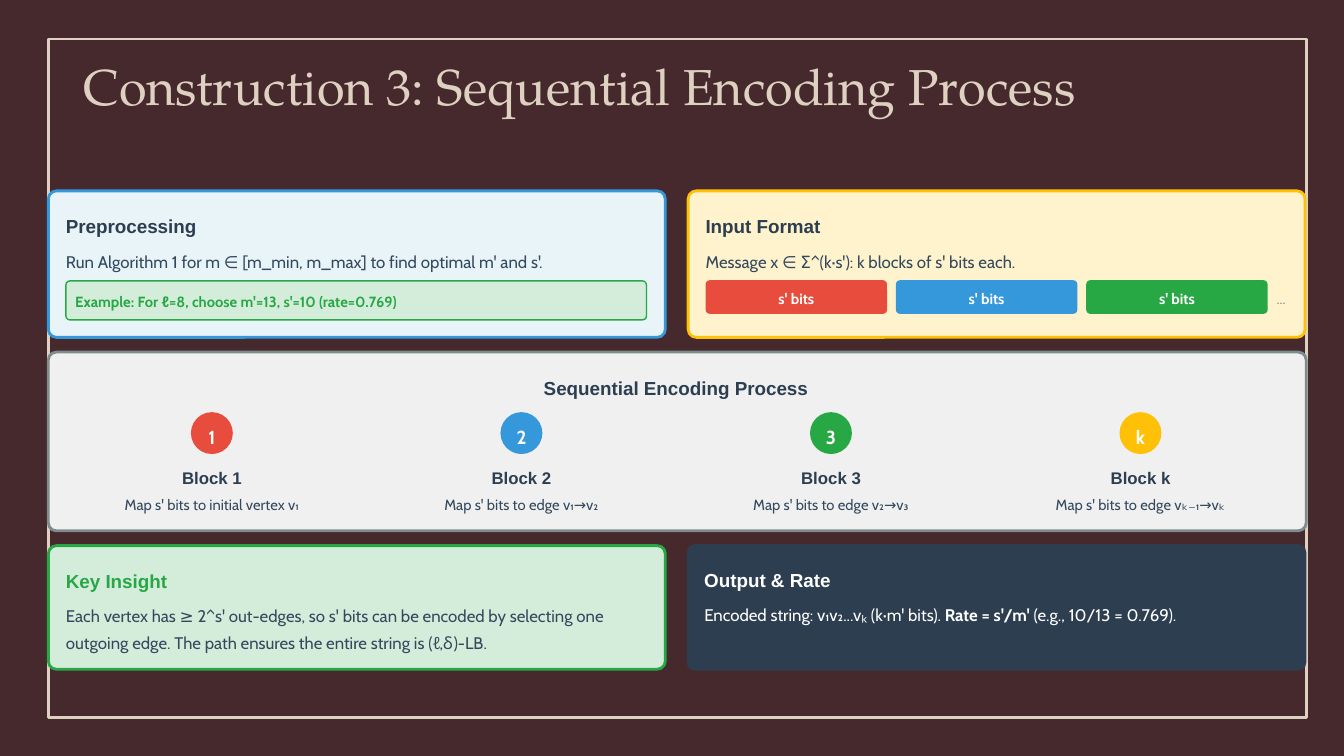
"""Build the slide on the sequential encoding process of Construction 3."""
from pptx import Presentation
from pptx.dml.color import RGBColor
from pptx.enum.shapes import MSO_SHAPE as Shape
from pptx.enum.text import MSO_ANCHOR as Anchor, PP_ALIGN as Align
from pptx.util import Inches, Pt

deck = Presentation()
deck.slide_width, deck.slide_height = Inches(10), Inches(5.625)
page = deck.slides.add_slide(deck.slide_layouts[6])
cell = deck.slide_width / 100

color = RGBColor.from_string
RED, BLUE, GREEN, YELLOW = "E74C3C", "3498DB", "28A745", "FFC107"
NAVY, SLATE, GRAY, WHITE = "2C3E50", "34495E", "7F8C8D", "FFFFFF"
MINT, CREAM = "D4EDDA", "DFD1C2"

HEADING = {"size": Pt(10.1), "name": "Arial", "bold": True}
LABEL = HEADING | {"size": Pt(9)}
BODY = {"size": Pt(9), "name": "Cabin", "bold": False}
SMALL = BODY | {"size": Pt(7.9)}
SMALL_BOLD = SMALL | {"bold": True}
NUMBER = BODY | {"size": Pt(10.1), "bold": True}
TITLE = {"size": Pt(27), "name": "TeX Gyre Pagella", "bold": False}


def draw(kind, left, top, width, height, fill=None, line=None, weight=1.5, radius=0.6):
    """Place a filled or outlined shape on the grid of columns and rows."""
    box = page.shapes.add_shape(kind, *(round(n * cell) for n in (left, top, width, height)))
    box.shadow.inherit = False
    if kind == Shape.ROUNDED_RECTANGLE:
        box.adjustments[0] = radius / min(width, height)
    if fill:
        box.fill.solid()
        box.fill.fore_color.rgb = color(fill)
    else:
        box.fill.background()
    if line:
        box.line.color.rgb = color(line)
        box.line.width = Pt(weight)
    else:
        box.line.fill.background()


def write(text, left, top, width, height, style, ink, align=Align.LEFT, spacing=1.3,
          anchor=Anchor.MIDDLE, inset=0):
    """Place a paragraph on the grid, flipping bold at each bar in the text."""
    box = page.shapes.add_textbox(*(round(n * cell) for n in (left, top, width, height)))
    frame = box.text_frame
    layout = {"word_wrap": True, "vertical_anchor": anchor, "margin_left": 0,
              "margin_right": 0, "margin_top": round(inset * cell), "margin_bottom": 0}
    for name, value in layout.items():
        setattr(frame, name, value)
    para = frame.paragraphs[0]
    para.alignment, para.line_spacing = align, spacing
    for index, part in enumerate(text.split("|")):
        span = para.add_run()
        span.text = part
        for name, value in style.items():
            setattr(span.font, name, value)
        span.font.bold = style["bold"] ^ (index % 2 == 1)
        span.font.color.rgb = color(ink)


page.background.fill.solid()
page.background.fill.fore_color.rgb = color("46292C")
draw(Shape.RECTANGLE, 3.6, 2.9, 93.6, 50.5, line=CREAM)
write("Construction 3: Sequential Encoding Process", 6.2, 4, 86.9, 4.7, TITLE, CREAM,
      spacing=0.8, anchor=Anchor.TOP, inset=1)

panels = [
    (3.6, 14.2, 10.9, 1.9, "E8F4F8", BLUE, NAVY, SLATE, "Preprocessing",
     "Run Algorithm 1 for m ∈ [m_min, m_max] to find optimal m' and s'."),
    (51.2, 14.2, 10.9, 1.9, "FFF3CD", YELLOW, NAVY, SLATE, "Input Format",
     "Message x ∈ Σ^(k·s'): k blocks of s' bits each."),
    (3.6, 40.6, 9.2, 3.8, MINT, GREEN, GREEN, SLATE, "Key Insight",
     "Each vertex has ≥ 2^s' out-edges, so s' bits can be encoded by selecting one "
     "outgoing edge. The path ensures the entire string is (ℓ,δ)-LB."),
    (51.1, 40.5, 9.4, 1.9, NAVY, None, WHITE, WHITE, "Output & Rate",
     "Encoded string: v₁v₂...vₖ (k·m' bits). |Rate = s'/m'| (e.g., 10/13 = 0.769)."),
]
for left, top, height, depth, fill, line, heading_ink, ink, heading, body in panels:
    width = 45.9 if line else 46.1
    draw(Shape.ROUNDED_RECTANGLE, left, top, width, height, fill, line)
    write(heading, left + 1.3, top + 1.3, 44, 2.2, HEADING, heading_ink)
    write(body, left + 1.3, top + 4.1, 43.9, depth, BODY, ink)

draw(Shape.ROUNDED_RECTANGLE, 4.9, 20.9, 43.2, 2.9, MINT, GREEN, 0.75, 0.3)
write("Example: For ℓ=8, choose m'=13, s'=10 (rate=0.769)", 5.6, 21.5, 42.4, 1.6,
      SMALL_BOLD, GREEN, spacing=1.2)

for index, fill in enumerate([RED, BLUE, GREEN]):
    left = 52.5 + index * 14.16
    draw(Shape.ROUNDED_RECTANGLE, left, 20.85, 13.5, 2.5, fill, radius=0.3)
    write("s' bits", left - 0.3, 20.85, 14.1, 2.5, SMALL_BOLD, WHITE, Align.CENTER, 1.2)
write("...", 95, 21.3, 1.3, 1.6, SMALL, GRAY, spacing=1.2)

draw(Shape.ROUNDED_RECTANGLE, 3.6, 26.2, 93.6, 13.3, "F0F0F0", GRAY)
write("Sequential Encoding Process", 4.5, 27.5, 91.6, 2.2, HEADING, NAVY, Align.CENTER)
steps = [("1", RED, "initial vertex v₁"), ("2", BLUE, "edge v₁→v₂"),
         ("3", GREEN, "edge v₂→v₃"), ("k", YELLOW, "edge vₖ₋₁→vₖ")]
for index, (number, fill, target) in enumerate(steps):
    middle = 15.77 + index * 23.03
    draw(Shape.OVAL, middle - 1.56, 30.67, 3.12, 3.12, fill)
    write(number, middle - 1.9, 30.7, 3.8, 3.1, NUMBER, WHITE, Align.CENTER)
    write(f"Block {number}", middle - 11.2, 34.4, 22.4, 1.9, LABEL, NAVY, Align.CENTER)
    write(f"Map s' bits to {target}", middle - 11.15, 36.6, 22.3, 1.6, SMALL, SLATE,
          Align.CENTER, 1.2)

deck.save("out.pptx")
